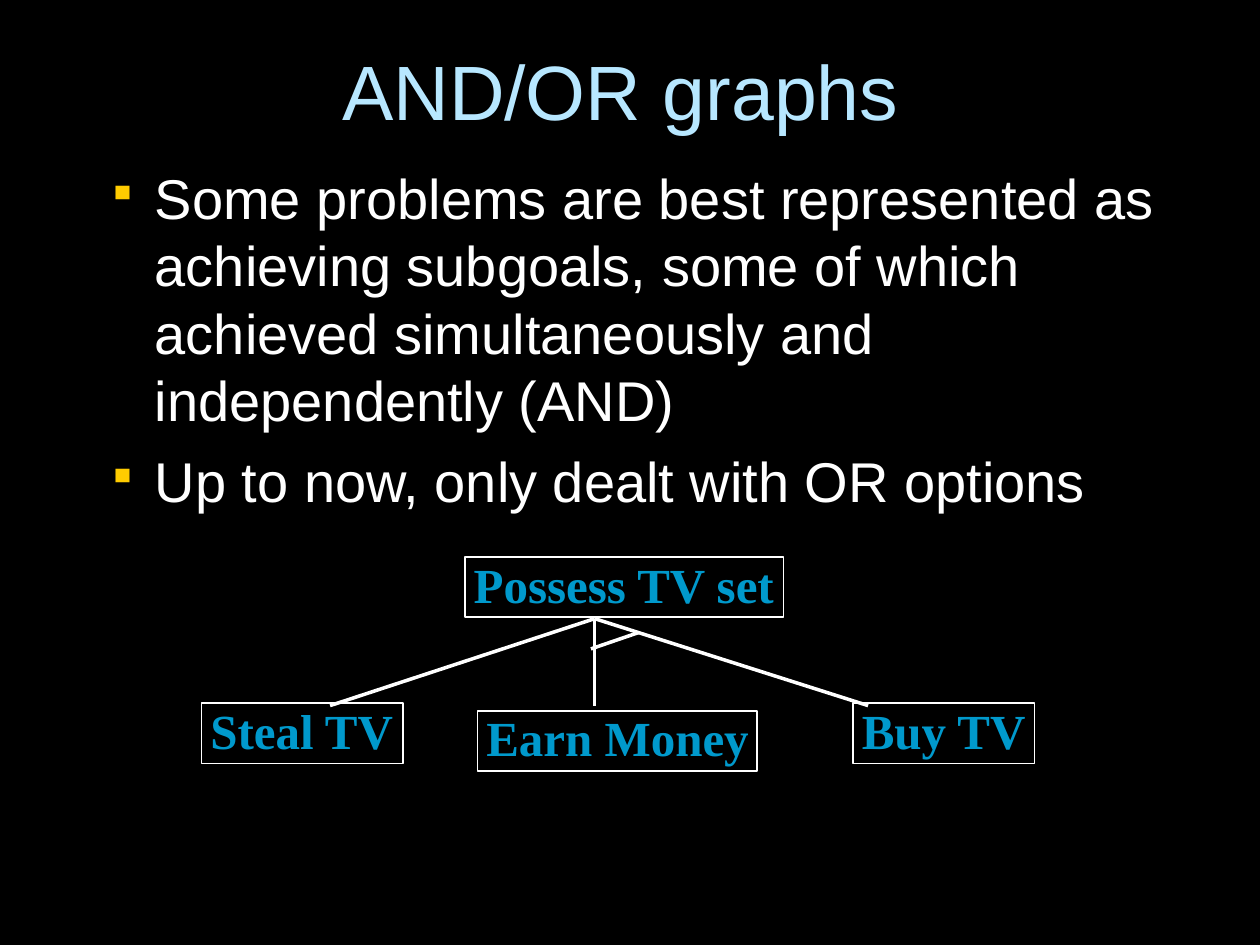
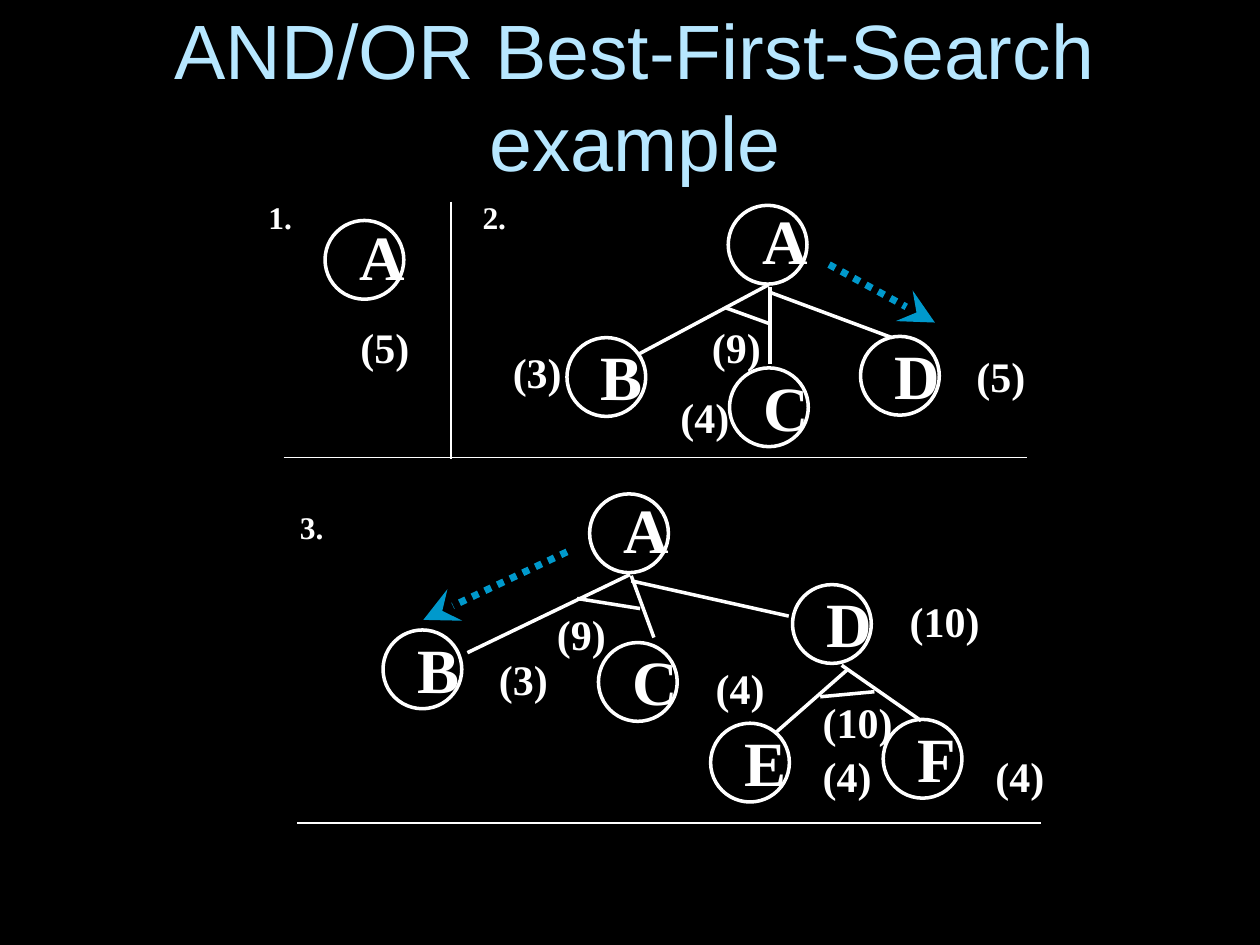
from pptx import Presentation
from pptx.dml.color import RGBColor
from pptx.enum.dml import MSO_LINE as Dash
from pptx.enum.shapes import MSO_CONNECTOR as Link, MSO_SHAPE as Shape
from pptx.enum.text import MSO_ANCHOR as Anchor, MSO_AUTO_SIZE as Fit, PP_ALIGN as Align
from pptx.oxml import parse_xml
from pptx.oxml.ns import nsdecls
from pptx.util import Inches, Pt

# Shared look; the grid has 100 columns and 75 rows of one cell each
hue = RGBColor.from_string
WHITE, BLUE, PALE, GOLD = "FFFFFF", "0099CC", "B7E7FF", "FFCC00"
SANS, SERIF = "Arial", "Times New Roman"
CELL = Inches(0.1)

deck = Presentation()
deck.slide_width, deck.slide_height = 100 * CELL, 75 * CELL


def label(shape, words, size, color=WHITE, space=0.88):
    """Set tight bold serif text on one line; the right inset leaves some slack."""
    frame = shape.text_frame
    frame.text = words
    frame.word_wrap = False
    frame.auto_size = Fit.SHAPE_TO_FIT_TEXT
    frame.vertical_anchor = Anchor.TOP
    frame.margin_left, frame.margin_right = Inches(0.07), Inches(0.03)
    frame.margin_top = frame.margin_bottom = Inches(0.03)
    para = frame.paragraphs[0]
    para.alignment, para.line_spacing = Align.LEFT, space
    font = para.runs[0].font
    font.name, font.size, font.bold = SERIF, Pt(size), True
    font.color.rgb = hue(color)


def join(slide, ends, width=2, color=WHITE):
    """Draw a straight line between two grid points."""
    link = slide.shapes.add_connector(Link.STRAIGHT, *[int(n * CELL) for n in ends])
    link.line.width = Pt(width)
    link.line.color.rgb = hue(color)
    link._element.spPr.append(parse_xml(f"<a:effectLst {nsdecls('a')}/>"))
    return link


# Slides with background and title
pages = []
for title, spot in [("AND/OR graphs", (2.7, 2.8, 93.1, 8.7)),
                    ("AND/OR Best-First-Search example", (2.5, 0, 95.8, 15))]:
    page = deck.slides.add_slide(deck.slide_layouts[6])
    page.background.fill.solid()
    page.background.fill.fore_color.rgb = hue("000000")
    frame = page.shapes.add_textbox(*[int(n * CELL) for n in spot]).text_frame
    frame.text, frame.word_wrap = title, True
    frame.vertical_anchor = Anchor.MIDDLE
    para = frame.paragraphs[0]
    para.alignment = Align.CENTER
    font = para.runs[0].font
    font.name, font.size, font.color.rgb = SANS, Pt(44), hue(PALE)
    pages.append(page)
graph, search = pages

# Slide 1: bullets
points = ["Some problems are best represented as achieving subgoals, some of which "
          "achieved simultaneously and independently (AND)",
          "Up to now, only dealt with OR options"]
spot = (7.5, 12.5, 87.5, 58.3)
frame = graph.shapes.add_textbox(*[int(n * CELL) for n in spot]).text_frame
frame.text, frame.word_wrap = "\n".join(points), True
for para in frame.paragraphs:
    para.space_before = Pt(8)
    font = para.runs[0].font
    font.name, font.size, font.color.rgb = SANS, Pt(32), hue(WHITE)
    props = para._p.get_or_add_pPr()
    props.set("marL", str(Inches(0.38)))
    props.set("indent", str(-Inches(0.38)))
    for part in (f'<a:buClr {nsdecls("a")}><a:srgbClr val="{GOLD}"/></a:buClr>',
                 f'<a:buSzPct {nsdecls("a")} val="75000"/>',
                 f'<a:buChar {nsdecls("a")} char="▪"/>'):
        props.append(parse_xml(part))

# Slide 1: goal and its subgoals
for words, left, top, wide in [("Possess TV set", 36.9, 44.2, 25.3),
                               ("Steal TV", 16, 55.8, 16),
                               ("Earn Money", 37.9, 56.4, 22.2),
                               ("Buy TV", 67.7, 55.8, 14.4)]:
    box = graph.shapes.add_shape(Shape.RECTANGLE, *[int(n * CELL) for n in (left, top, wide, 4.8)])
    box.shadow.inherit = False
    box.fill.background()
    box.line.width, box.line.color.rgb = Pt(1), hue(WHITE)
    label(box, words, 28, BLUE, 0.9)

for foot in (26.2, 47.2, 68.9):
    join(graph, (47.2, 49.1, foot, 56))
join(graph, (46.9, 51.5, 50.7, 50.2))  # AND mark

# Slide 2: nodes, each a ring with its letter set to the right
RING = 6.25
wide = {"A": 5, "B": 4.7, "C": 5, "D": 5, "E": 4.7, "F": 4.4}
nodes = [("A", 25.8, 17.5),
         ("A", 57.8, 16.3), ("B", 45, 26.8), ("C", 57.9, 29.2), ("D", 68.3, 26.7),
         ("A", 46.8, 39.2), ("B", 30.4, 50), ("C", 47.5, 51), ("D", 62.9, 46.4),
         ("E", 56.4, 57.4), ("F", 70.1, 57.1)]
for name, left, top in nodes:
    ring = search.shapes.add_shape(Shape.OVAL, *[int(n * CELL) for n in (left, top, RING, RING)])
    ring.shadow.inherit = False
    ring.fill.background()
    ring.line.width, ring.line.color.rgb = Pt(2), hue(WHITE)
    drop = 0.2 if name == "A" else 0.5
    spot = (left + 2, top + drop, wide[name], 5.8)
    label(search.shapes.add_textbox(*[int(n * CELL) for n in spot]), name, 36)

# Slide 2: costs, wider by one digit when needed
for cost, left, top in [(5, 27.9, 25.8),
                        (3, 40, 27.8), (4, 53.3, 31.4), (5, 76.8, 28.1), (9, 55.8, 25.8),
                        (3, 38.9, 52.2), (9, 43.5, 48.6), (4, 56.1, 52.9), (10, 71.5, 47.6),
                        (10, 64.6, 55.6), (4, 64.6, 59.9), (4, 78.3, 59.9)]:
    words = f"({cost})"
    spot = (left, top, 0.2 + 1.7 * len(words), 4)
    label(search.shapes.add_textbox(*[int(n * CELL) for n in spot]), words, 24, space=0.85)

# Slide 2: step numbers
for step, (left, top) in enumerate([(20.6, 15.8), (37.6, 15.8), (23.1, 40.4)], 1):
    spot = (left, top, 3.3, 3.2)
    label(search.shapes.add_textbox(*[int(n * CELL) for n in spot]), f"{step}.", 18)

# Slide 2: branches and AND marks
for ends in [(61.1, 22.8, 61.1, 28.9), (61, 22.6, 50.7, 28.1), (61.1, 23.2, 70.8, 26.8),
             (57.5, 24.4, 61.1, 25.7),
             (50.1, 45.7, 51.9, 50.6), (50, 45.6, 37.1, 51.8), (50.1, 46.1, 62.6, 48.9),
             (45.8, 47.5, 50.8, 48.3),
             (67.2, 53.2, 61.5, 58.2), (66.8, 52.8, 73.1, 57.2), (65.1, 55.3, 69.4, 54.9)]:
    join(search, ends)

# Slide 2: rules between the steps
for ends in [(22.5, 36.3, 81.5, 36.3), (35.8, 16, 35.8, 36.4), (23.6, 65.3, 82.6, 65.3)]:
    join(search, ends, 1)

# Slide 2: dotted arrows to the next best branch
for ends in [(65.8, 21, 74.2, 25.6), (45, 43.8, 33.6, 49.2)]:
    arrow = join(search, ends, 4, BLUE)
    arrow.line.dash_style = Dash.ROUND_DOT
    head = parse_xml(f'<a:tailEnd {nsdecls("a")} type="stealth" w="lg" len="lg"/>')
    arrow.line._get_or_add_ln().append(head)

deck.save("out.pptx")
